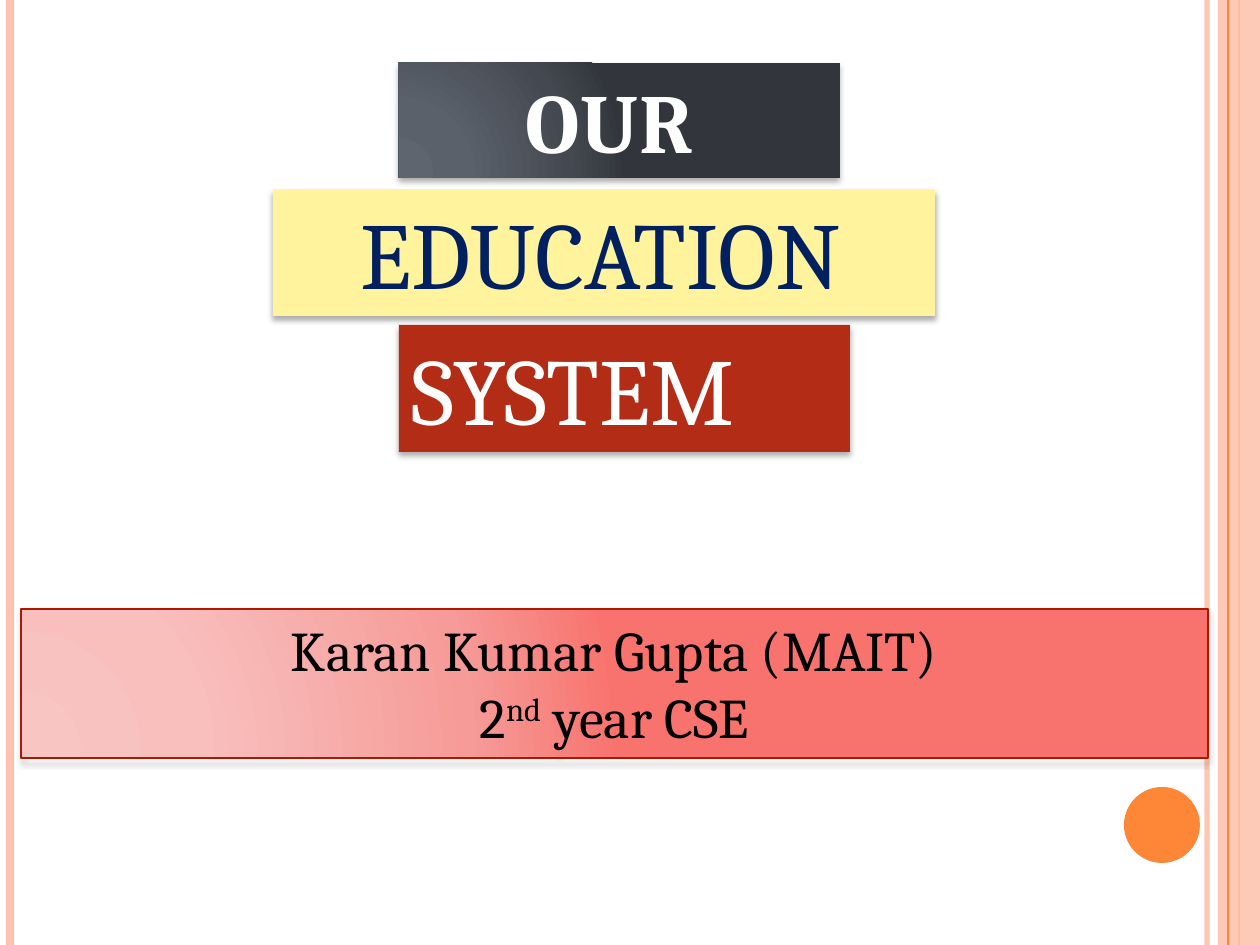
"""Build the opening slide of a talk on the education system."""
from lxml import etree
from pptx import Presentation
from pptx.dml.color import RGBColor
from pptx.enum.shapes import MSO_CONNECTOR, MSO_SHAPE
from pptx.enum.text import MSO_ANCHOR, MSO_AUTO_SIZE, PP_ALIGN
from pptx.oxml.ns import qn
from pptx.util import Emu, Pt

STRAIGHT = MSO_CONNECTOR.STRAIGHT
RECTANGLE, OVAL = MSO_SHAPE.RECTANGLE, MSO_SHAPE.OVAL
TOP, NO_FIT = MSO_ANCHOR.TOP, MSO_AUTO_SIZE.NONE
LEFT, CENTER = PP_ALIGN.LEFT, PP_ALIGN.CENTER

PEACH = RGBColor(0xFE, 0xC3, 0xAE)
ORANGE = RGBColor(0xFE, 0x86, 0x37)
YELLOW = RGBColor(0xFF, 0xF3, 0x9D)
RUST = RGBColor(0xB3, 0x2C, 0x16)
RED = RGBColor(0xAC, 0x18, 0x00)
NAVY = RGBColor(0x00, 0x20, 0x60)
GREY = RGBColor(0x6B, 0x70, 0x79)
BLACK = RGBColor(0x00, 0x00, 0x00)
WHITE = RGBColor(0xFF, 0xFF, 0xFF)
OFF_WHITE = RGBColor(0xFE, 0xFE, 0xFE)
SLATE_STOPS = (RGBColor(0x5E, 0x65, 0x6F), RGBColor(0x5B, 0x61, 0x6B),
               RGBColor(0x44, 0x49, 0x51), RGBColor(0x32, 0x36, 0x3C))
PINK_STOPS = (RGBColor(0xF8, 0xC5, 0xC3), RGBColor(0xF8, 0xBF, 0xBD),
              RGBColor(0xF6, 0x9B, 0x98), RGBColor(0xF8, 0x73, 0x6E))
STOP_POSITIONS = (0, 30, 75, 100)

WIDTH, HEIGHT = 1260, 945
FONT = "Cambria"


def px(length):
    """Turn pixels into EMU."""
    return Emu(round(length * 914400 / 126))


def add_element(parent, tag, **attributes):
    """Append a drawing element with its attributes."""
    values = {name: str(value) for name, value in attributes.items()}
    return etree.SubElement(parent, qn(tag), values)


class SlideBuilder:
    """Hold the style and the current slide."""

    def __init__(self, slide, font):
        self.slide = slide
        self.font = font

    def set_opacity(self, shape, percent):
        """Make every colour of the shape partly transparent."""
        for color in shape._element.spPr.iter(qn("a:srgbClr")):
            add_element(color, "a:alpha", val=percent * 1000)

    def add_rule(self, x, color, width, opacity=100):
        """Draw a vertical line over the full slide height."""
        rule = self.slide.shapes.add_connector(STRAIGHT, px(x), 0, px(x), px(HEIGHT))
        rule.line.color.rgb = color
        rule.line.width = Pt(width)
        add_element(rule._element.spPr, "a:effectLst")
        if opacity < 100:
            self.set_opacity(rule, opacity)

    def add_shape(self, kind, box, color=None, opacity=100):
        """Draw a preset shape without outline or shadow."""
        shape = self.slide.shapes.add_shape(kind, *map(px, box))
        shape.line.fill.background()
        shape.shadow.inherit = False
        if color is not None:
            shape.fill.solid()
            shape.fill.fore_color.rgb = color
        if opacity < 100:
            self.set_opacity(shape, opacity)
        return shape

    def place(self, placeholder, box):
        """Move a placeholder to its box, in front of earlier shapes."""
        placeholder.left, placeholder.top, placeholder.width, placeholder.height = map(px, box)
        self.slide.shapes._spTree.append(placeholder._element)
        return placeholder

    def fill_radial(self, shape, colors):
        """Fill the shape with a gradient spreading from its lower left."""
        shape.fill.solid()
        properties = shape._element.spPr
        gradient = etree.Element(qn("a:gradFill"), rotWithShape="1")
        stops = add_element(gradient, "a:gsLst")
        for position, color in zip(STOP_POSITIONS, colors):
            stop = add_element(stops, "a:gs", pos=position * 1000)
            add_element(stop, "a:srgbClr", val=color)
        circle = add_element(gradient, "a:path")
        circle.set("path", "circle")
        add_element(circle, "a:fillToRect", l=5000, t=100000, r=120000, b=10000)
        properties.replace(properties.find(qn("a:solidFill")), gradient)

    def add_shadow(self, shape, blur=3.5, distance=2.2, opacity=32):
        """Cast a soft shadow straight down."""
        shape.shadow.inherit = False
        effects = shape._element.spPr.find(qn("a:effectLst"))
        shadow = add_element(effects, "a:outerShdw", blurRad=Pt(blur), dist=Pt(distance),
                             dir=5400000, algn="ctr", rotWithShape=0)
        color = add_element(shadow, "a:srgbClr", val=BLACK)
        add_element(color, "a:alpha", val=opacity * 1000)

    def add_text(self, shape, lines, size, color, alignment=CENTER, bold=False):
        """Fill the shape with lines, each a list of run texts, in one style."""
        frame = shape.text_frame
        frame.word_wrap = True
        frame.auto_size = NO_FIT
        frame.vertical_anchor = TOP
        for index, texts in enumerate(lines):
            paragraph = frame.add_paragraph() if index else frame.paragraphs[0]
            paragraph.alignment = alignment
            paragraph.space_before = Pt(0)
            paragraph.font.name = self.font
            paragraph.font.size = Pt(size)
            paragraph.font.bold = bold
            paragraph.font.color.rgb = color
            for text in texts:
                paragraph.add_run().text = text
        return frame.paragraphs

    def outline_text(self, run, color, width, spacing):
        """Outline the letters and space them out."""
        properties = run._r.get_or_add_rPr()
        properties.set("spc", str(round(spacing * 100)))
        outline = add_element(properties, "a:ln", w=Pt(width))
        add_element(add_element(outline, "a:solidFill"), "a:srgbClr", val=color)


def main():
    """Build and save the slide."""
    presentation = Presentation()
    presentation.slide_width, presentation.slide_height = px(WIDTH), px(HEIGHT)
    slide = presentation.slides.add_slide(presentation.slide_layouts[0])
    builder = SlideBuilder(slide, FONT)

    builder.add_rule(1207, PEACH, 3, opacity=93)
    builder.add_rule(10, PEACH, 4.5)
    builder.add_rule(1239, ORANGE, 1.5)
    builder.add_shape(RECTANGLE, (1218, 0, 42, HEIGHT), PEACH, opacity=87)
    builder.add_rule(1228, ORANGE, 0.75)
    builder.add_shape(OVAL, (1124, 787, 76, 76), ORANGE)

    our = builder.add_shape(RECTANGLE, (399, 63, 441, 115))
    builder.fill_radial(our, SLATE_STOPS)
    builder.add_shadow(our)
    paragraphs = builder.add_text(our, [["OUR "]], 48, OFF_WHITE, bold=True)
    builder.outline_text(paragraphs[0].runs[0], GREY, 1, 0.5)

    education = builder.place(slide.shapes.title, (273, 189, 662, 127))
    education.fill.solid()
    education.fill.fore_color.rgb = YELLOW
    builder.add_shadow(education)
    paragraphs = builder.add_text(education, [["EDUCATION", " "]], 54, NAVY)
    paragraphs[0].runs[1].font.size = Pt(18)

    system = builder.add_shape(RECTANGLE, (399, 325, 451, 127), RUST)
    builder.add_shadow(system)
    builder.add_text(system, [["SYSTEM"]], 54, WHITE, LEFT)

    author = builder.place(slide.placeholders[1], (21, 609, 1187, 149))
    builder.fill_radial(author, PINK_STOPS)
    author.line.color.rgb = RED
    author.line.width = Pt(1)
    builder.add_shadow(author, blur=4, distance=2, opacity=40)
    lines = [["Karan Kumar Gupta (MAIT)"], ["2", "nd", " year CSE"]]
    paragraphs = builder.add_text(author, lines, 32, BLACK)
    paragraphs[1].runs[1].font._element.set("baseline", "30000")

    presentation.save("out.pptx")


if __name__ == "__main__":
    main()
